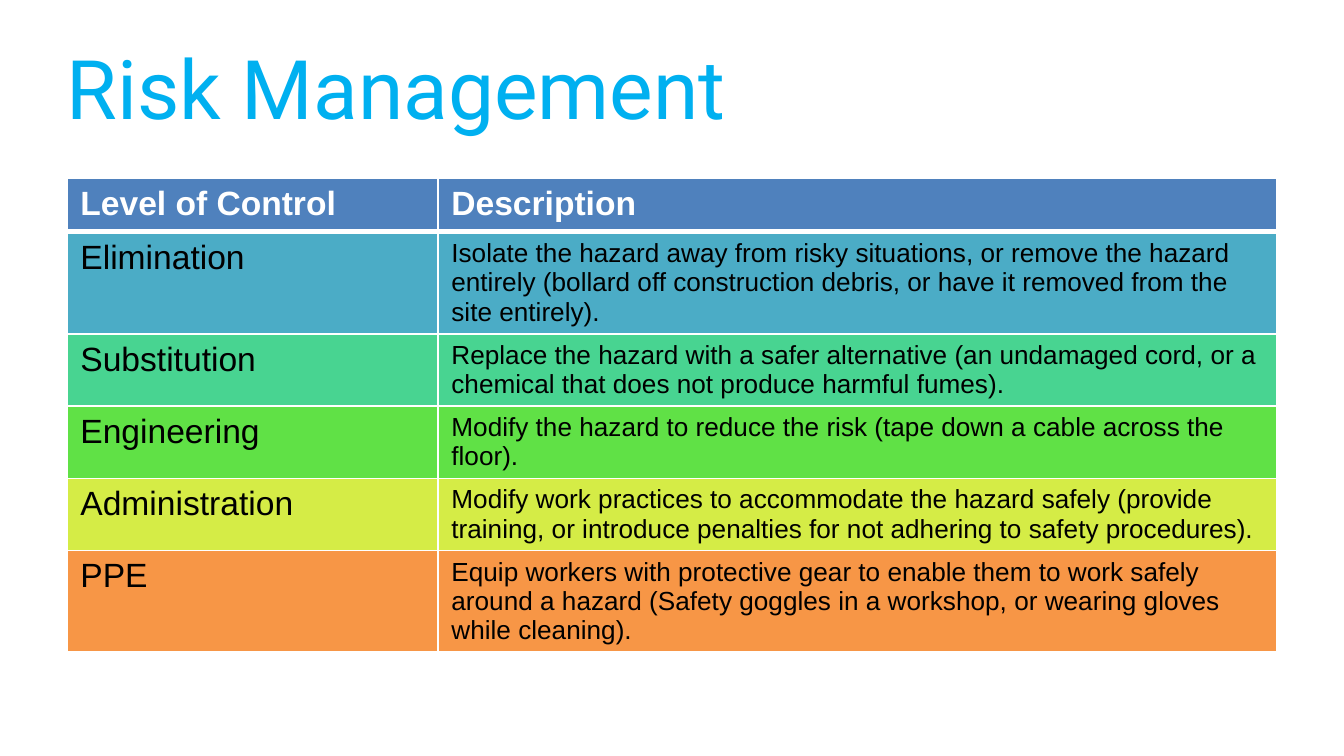
from dataclasses import dataclass

import pptx
import pptx.dml.color
import pptx.enum.text
import pptx.oxml
import pptx.oxml.ns
import pptx.util

EMU_PER_PIXEL = 914400 / 134.4
COLORS = {
    "title": "00B0F0",
    "header": "4F81BD",
    "white": "FFFFFF",
    "black": "000000",
    "teal": "4BACC6",
    "mint": "48D491",
    "green": "60E146",
    "lime": "D5EC46",
    "orange": "F79646",
}


@dataclass
class ControlRow:
    level: str
    description: str
    fill: str
    height: int
    is_header: bool = False


ROWS = [
    ControlRow("Level of Control", "Description", "header", 54, True),
    ControlRow("Elimination", "Isolate the hazard away from risky situations, or remove "
               "the hazard entirely (bollard off construction debris, or have it removed "
               "from the site entirely).", "teal", 102),
    ControlRow("Substitution", "Replace the hazard with a safer alternative (an undamaged "
               "cord, or a chemical that does not produce harmful fumes).", "mint", 72),
    ControlRow("Engineering", "Modify the hazard to reduce the risk (tape down a cable "
               "across the floor).", "green", 72),
    ControlRow("Administration", "Modify work practices to accommodate the hazard safely "
               "(provide training, or introduce penalties for not adhering to safety "
               "procedures).", "lime", 72),
    ControlRow("PPE", "Equip workers with protective gear to enable them to work safely "
               "around a hazard (Safety goggles in a workshop, or wearing gloves while "
               "cleaning).", "orange", 101),
]
COLUMN_WIDTHS = [371, 839]


def px(pixels: int) -> pptx.util.Emu:
    return pptx.util.Emu(round(pixels * EMU_PER_PIXEL))


def rgb(name: str) -> pptx.dml.color.RGBColor:
    return pptx.dml.color.RGBColor.from_string(COLORS[name])


def add_text(para, text: str, font: str, size: int, color: str, bold: bool = False) -> None:
    span = para.add_run()
    span.text = text
    span.font.name = font
    span.font.size = pptx.util.Pt(size)
    span.font.bold = bold
    span.font.color.rgb = rgb(color)


def set_borders(cell, top: int, bottom: int) -> None:
    properties = cell._tc.get_or_add_tcPr()
    widths = {"lnL": 1, "lnR": 1, "lnT": top, "lnB": bottom}
    for position, (side, points) in enumerate(widths.items()):
        properties.insert(position, pptx.oxml.parse_xml(
            f'<a:{side} {pptx.oxml.ns.nsdecls("a")} w="{pptx.util.Pt(points)}">'
            f'<a:solidFill><a:srgbClr val="{COLORS["white"]}"/></a:solidFill></a:{side}>'))


def add_title(page, text: str) -> None:
    box = page.shapes.title
    box.left, box.top, box.width, box.height = px(67), px(30), px(1210), px(126)
    frame = box.text_frame
    frame.margin_left = frame.margin_right = frame.margin_top = frame.margin_bottom = 0
    frame.vertical_anchor = pptx.enum.text.MSO_ANCHOR.MIDDLE
    frame.auto_size = pptx.enum.text.MSO_AUTO_SIZE.NONE
    frame.word_wrap = False
    para = frame.paragraphs[0]
    para.alignment = pptx.enum.text.PP_ALIGN.LEFT
    para.line_spacing = 0.9
    add_text(para, text, "Roboto", 44, "title")


def add_control_table(page, rows: list[ControlRow]) -> None:
    height = sum(row.height for row in rows)
    table = page.shapes.add_table(len(rows), len(COLUMN_WIDTHS), px(67), px(178),
                                  px(sum(COLUMN_WIDTHS)), px(height)).table
    for column, width in zip(table.columns, COLUMN_WIDTHS):
        column.width = px(width)
    for index, row in enumerate(rows):
        table.rows[index].height = px(row.height)
        color = "white" if row.is_header else "black"
        sizes = (18, 18) if row.is_header else (18, 14)
        for cell, text, size in zip(table.rows[index].cells,
                                    (row.level, row.description), sizes):
            cell.fill.solid()
            cell.fill.fore_color.rgb = rgb(row.fill)
            add_text(cell.text_frame.paragraphs[0], text, "Arial", size, color, row.is_header)
            set_borders(cell, top=3 if index == 1 else 1, bottom=3 if row.is_header else 1)


# Page
deck = pptx.Presentation()
deck.slide_width, deck.slide_height = px(1344), px(756)
page = deck.slides.add_slide(deck.slide_layouts[5])

# Title and table
add_title(page, "Risk Management")
add_control_table(page, ROWS)

deck.save("out.pptx")
